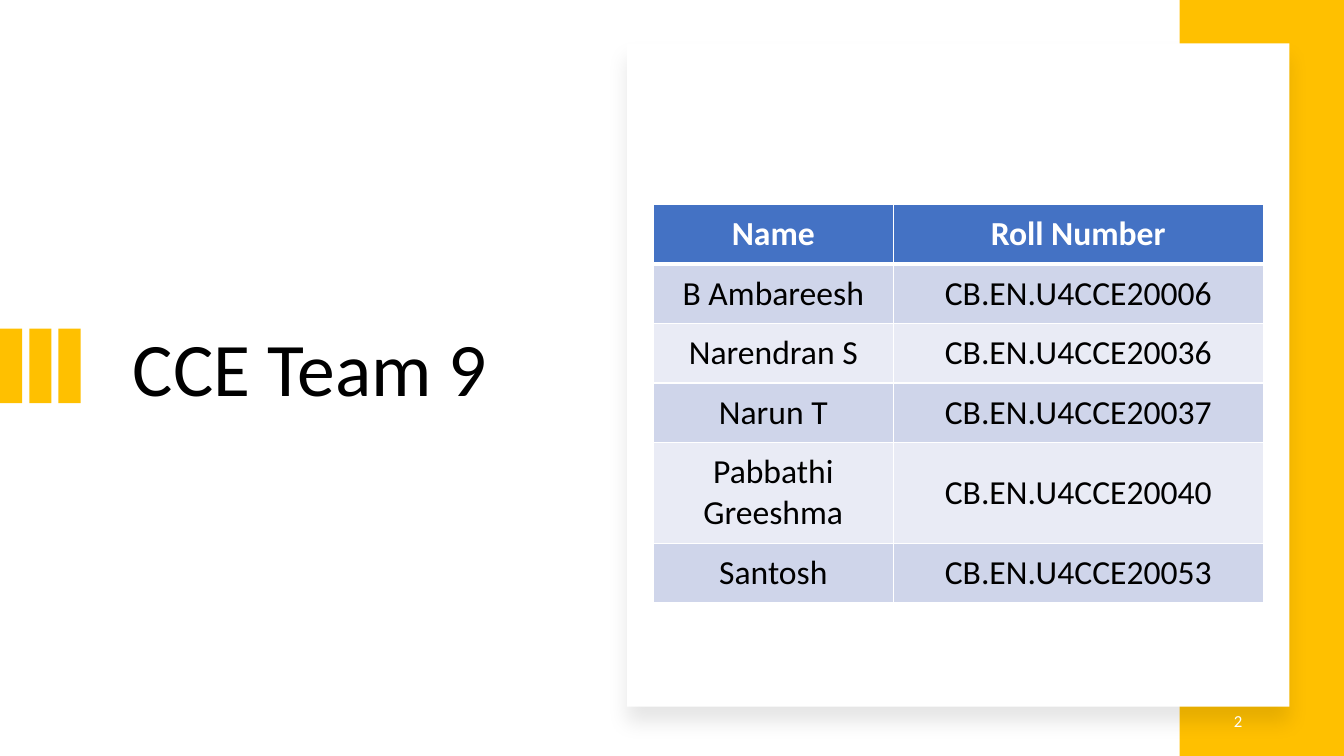
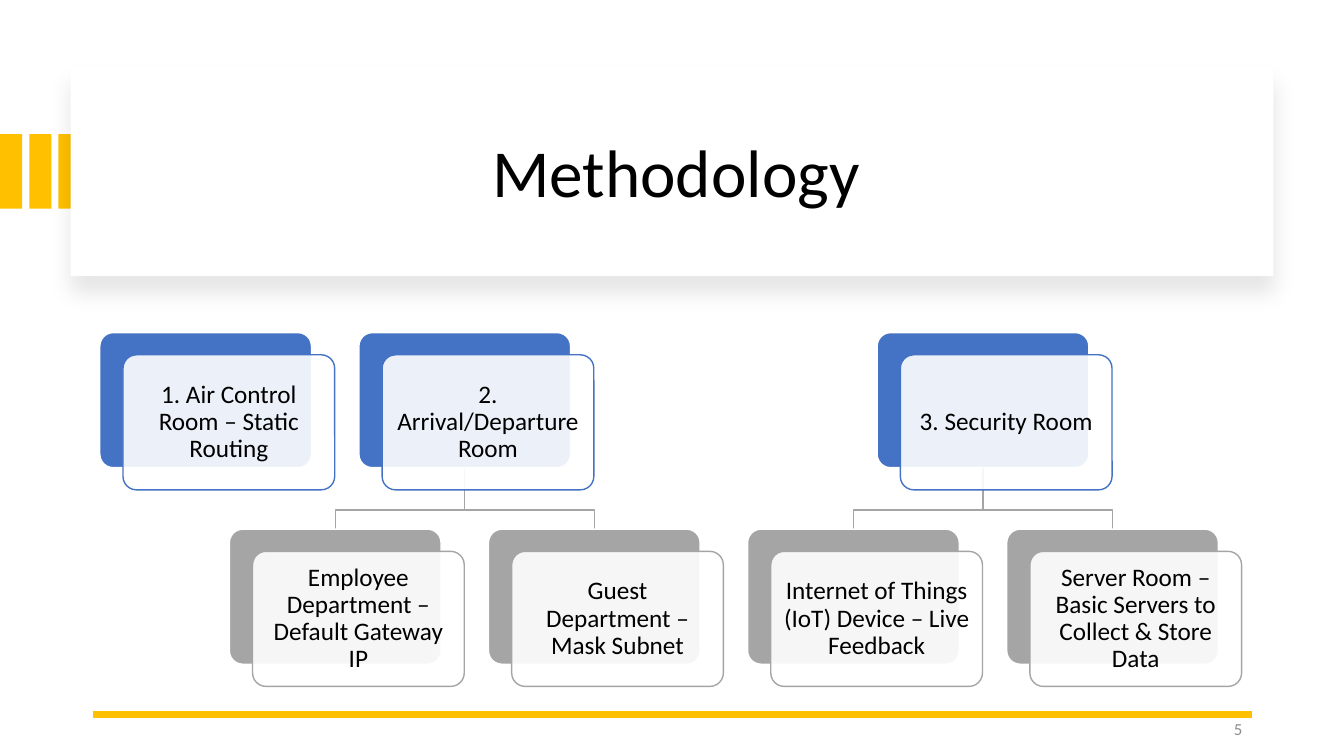
from lxml import etree
from pptx import Presentation
from pptx.dml.color import RGBColor
from pptx.enum.shapes import MSO_CONNECTOR, MSO_SHAPE
from pptx.enum.text import MSO_ANCHOR, PP_ALIGN
from pptx.oxml.ns import qn
from pptx.util import Inches, Pt

FONT = "Calibri"
COLORS = {
    "yellow": "FFC000",
    "blue": "4472C4",
    "gray": "A5A5A5",
    "band_dark": "CFD5EA",
    "band_light": "E9EBF5",
    "footer_gray": "8C8C8C",
    "white": "FFFFFF",
    "black": "000000",
}

TEAM = [
    ("Name", "Roll Number"),
    ("B Ambareesh", "CB.EN.U4CCE20006"),
    ("Narendran S", "CB.EN.U4CCE20036"),
    ("Narun T", "CB.EN.U4CCE20037"),
    ("Pabbathi Greeshma", "CB.EN.U4CCE20040"),
    ("Santosh", "CB.EN.U4CCE20053"),
]

# Each branch: grid column, room, and its departments with their grid columns.
BRANCHES = [
    (0, "1. Air Control Room – Static Routing", []),
    (1, "2. Arrival/Departure Room", [
        (0.5, "Employee Department – Default Gateway IP"),
        (1.5, "Guest Department – Mask Subnet"),
    ]),
    (3, "3. Security Room", [
        (2.5, "Internet of Things (IoT) Device – Live Feedback"),
        (3.5, "Server Room – Basic Servers to Collect & Store Data"),
    ]),
]


def rgb(name):
    return RGBColor.from_string(COLORS[name])


def write(frame, text, size, color="black", align=PP_ALIGN.CENTER,
          anchor=MSO_ANCHOR.MIDDLE, bold=False, spacing=None):
    frame.word_wrap = True
    frame.vertical_anchor = anchor
    paragraph = frame.paragraphs[0]
    paragraph.text = text
    paragraph.alignment = align
    if spacing:
        paragraph.line_spacing = spacing
    font = paragraph.font
    font.name, font.size, font.bold = FONT, Pt(size), bold
    font.color.rgb = rgb(color)


def add_text(slide, box, text, size, **style):
    shape = slide.shapes.add_textbox(*map(Inches, box))
    write(shape.text_frame, text, size, **style)


def add_block(slide, box, fill, line=None, kind=MSO_SHAPE.RECTANGLE):
    shape = slide.shapes.add_shape(kind, *map(Inches, box))
    shape.shadow.inherit = False
    shape.fill.solid()
    shape.fill.fore_color.rgb = rgb(fill)
    if line:
        shape.line.color.rgb = rgb(line)
        shape.line.width = Pt(1)
    else:
        shape.line.fill.background()
    return shape


def set_alpha(color_element, percent):
    alpha = etree.SubElement(color_element, qn("a:alpha"))
    alpha.set("val", str(percent * 1000))


def add_panel(slide, box):
    """White panel with a soft shadow below it."""
    panel = add_block(slide, box, "white")
    effects = panel._element.spPr.find(qn("a:effectLst"))
    shadow = etree.SubElement(
        effects, qn("a:outerShdw"), blurRad=str(Pt(15)), dist=str(Pt(11)),
        dir="5400000", algn="t", rotWithShape="0")
    color = etree.SubElement(shadow, qn("a:srgbClr"), val=COLORS["black"])
    set_alpha(color, 10)


def add_title(slide, box, text, size, **style):
    add_text(slide, box, text, size, spacing=0.9, **style)


def add_accent_bars(slide, top):
    for index in range(3):
        add_block(slide, (index * 0.29, top, 0.22, 0.74), "yellow")


def add_page_number(slide, top, number, color):
    add_text(slide, (9.42, top, 3, 0.4), str(number), 12, color=color,
             align=PP_ALIGN.RIGHT)


def set_cell_borders(cell, top, bottom):
    properties = cell._tc.get_or_add_tcPr()
    for side, width in (("L", 1), ("R", 1), ("T", top), ("B", bottom)):
        line = etree.SubElement(properties, qn(f"a:ln{side}"), w=str(Pt(width)))
        fill = etree.SubElement(line, qn("a:solidFill"))
        etree.SubElement(fill, qn("a:srgbClr"), val=COLORS["white"])


def add_team_table(slide, left, top):
    widths = (2.38, 3.67)
    heights = (0.59, 0.59, 0.59, 0.59, 1, 0.59)
    table = slide.shapes.add_table(
        len(TEAM), len(widths), Inches(left), Inches(top),
        Inches(sum(widths)), Inches(sum(heights))).table
    for column, width in zip(table.columns, widths):
        column.width = Inches(width)
    for row_index, (values, height) in enumerate(zip(TEAM, heights)):
        table.rows[row_index].height = Inches(height)
        header = row_index == 0
        band = "band_dark" if row_index % 2 else "band_light"
        for column_index, value in enumerate(values):
            cell = table.cell(row_index, column_index)
            cell.margin_left = cell.margin_right = Inches(0.14)
            cell.margin_top = cell.margin_bottom = Inches(0.07)
            set_cell_borders(cell, top=3 if row_index == 1 else 1,
                             bottom=3 if header else 1)
            cell.fill.solid()
            cell.fill.fore_color.rgb = rgb("blue" if header else band)
            write(cell.text_frame, value, 24, bold=header,
                  color="white" if header else "black")
            cell.vertical_anchor = MSO_ANCHOR.MIDDLE


def add_node(slide, left, top, width, height, text, color):
    """Coloured card with an offset, nearly opaque text card on it."""
    back = add_block(slide, (left, top, width, height), color, "white",
                     MSO_SHAPE.ROUNDED_RECTANGLE)
    front = add_block(slide, (left + 0.23, top + 0.22, width, height), "white",
                      color, MSO_SHAPE.ROUNDED_RECTANGLE)
    back.adjustments[0] = front.adjustments[0] = 0.1
    set_alpha(front._element.spPr.find(qn("a:solidFill"))[0], 90)
    frame = front.text_frame
    frame.margin_left = frame.margin_right = Inches(0.07)
    frame.margin_top = frame.margin_bottom = Inches(0.07)
    write(frame, text, 18, spacing=0.9)


def add_branch_line(slide, start, end):
    (start_x, start_y), (end_x, end_y) = start, end
    bend_y = end_y - 0.19
    builder = slide.shapes.build_freeform(Inches(start_x), Inches(start_y))
    points = [(start_x, bend_y), (end_x, bend_y), (end_x, end_y)]
    builder.add_line_segments([(Inches(x), Inches(y)) for x, y in points],
                              close=False)
    line = builder.convert_to_shape()
    line.shadow.inherit = False
    line.fill.background()
    line.line.color.rgb = rgb("gray")
    line.line.width = Pt(1)


def add_room_tree(slide, left, top):
    width, height, column_step, row_step = 2.1, 1.34, 2.57, 1.95
    child_top = top + row_step

    def column_left(column):
        return left + column * column_step

    def column_center(column):
        return column_left(column) + width / 2

    for column, _, departments in BRANCHES:
        for child_column, _ in departments:
            add_branch_line(slide, (column_center(column), top + height),
                            (column_center(child_column), child_top))
    for column, room, departments in BRANCHES:
        add_node(slide, column_left(column), top, width, height, room, "blue")
        for child_column, department in departments:
            add_node(slide, column_left(child_column), child_top, width, height,
                     department, "gray")


def add_footer_rule(slide, left, right, top):
    rule = slide.shapes.add_connector(
        MSO_CONNECTOR.STRAIGHT, Inches(left), Inches(top), Inches(right), Inches(top))
    rule.line.color.rgb = rgb("yellow")
    rule.line.width = Pt(4.5)
    etree.SubElement(rule._element.spPr, qn("a:effectLst"))


def build_team_slide(slide):
    add_title(slide, (1.22, 3.24, 4.41, 2.61), "CCE Team 9", 54,
              align=PP_ALIGN.LEFT, anchor=MSO_ANCHOR.TOP)
    add_accent_bars(slide, 3.26)
    add_block(slide, (11.7, 0, 1.63, 7.5), "yellow")
    add_panel(slide, (6.22, 0.43, 6.57, 6.58))
    add_team_table(slide, 6.48, 2.03)
    add_page_number(slide, 6.95, 2, "white")


def build_methodology_slide(slide):
    add_accent_bars(slide, 1.33)
    add_panel(slide, (0.7, 0.67, 11.93, 2.07))
    add_title(slide, (1.14, 0.89, 11.13, 1.7), "Methodology", 48)
    add_footer_rule(slide, 0.92, 12.42, 7.09)
    add_room_tree(slide, 0.99, 3.3)
    add_page_number(slide, 7.03, 5, "footer_gray")


def main():
    presentation = Presentation()
    presentation.slide_width = Inches(13.33)
    presentation.slide_height = Inches(7.5)
    blank_layout = presentation.slide_layouts[6]
    for build in (build_team_slide, build_methodology_slide):
        build(presentation.slides.add_slide(blank_layout))
    presentation.save("out.pptx")


if __name__ == "__main__":
    main()
